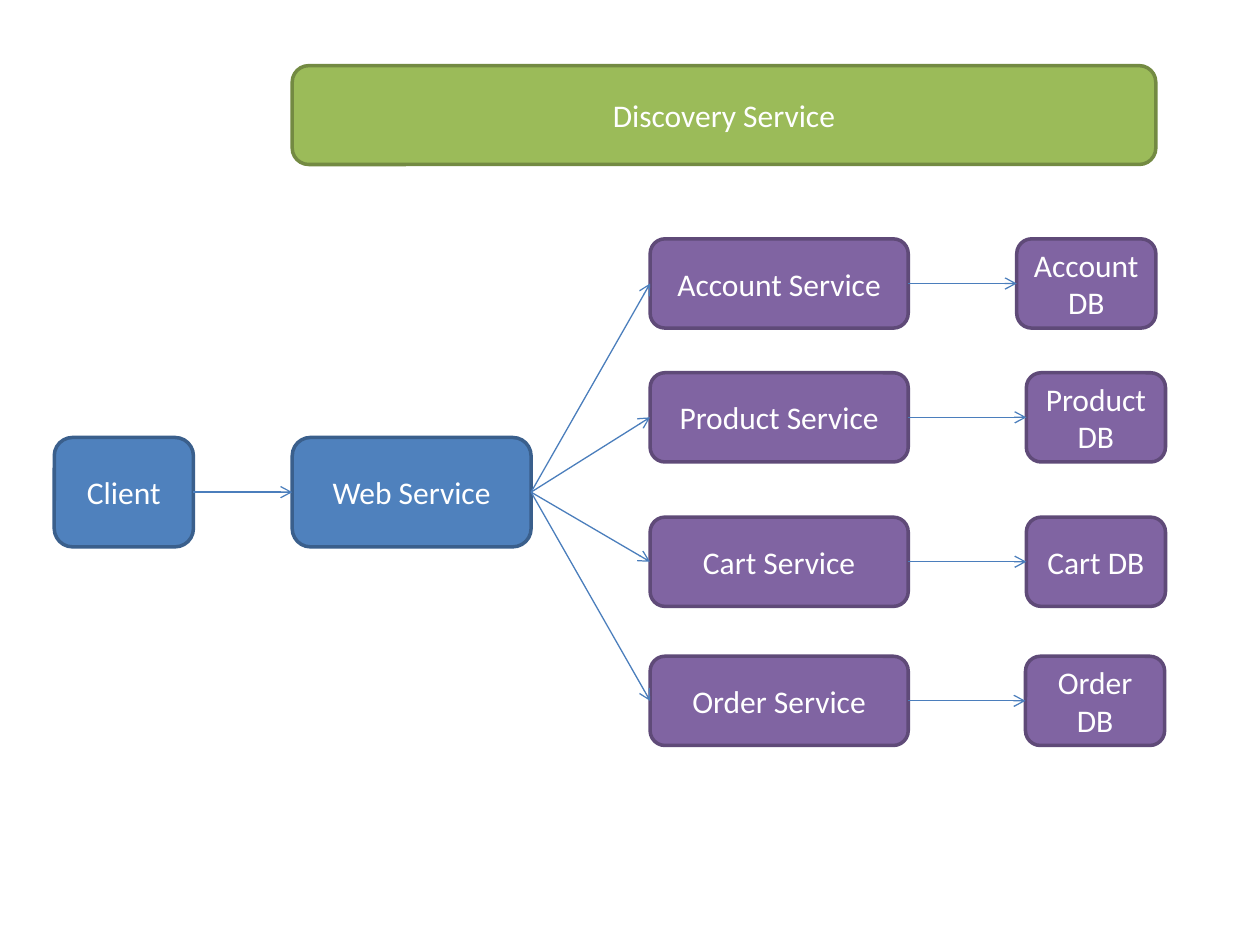
from lxml import etree
from pptx import Presentation
from pptx.dml.color import RGBColor
from pptx.enum.shapes import MSO_CONNECTOR, MSO_SHAPE
from pptx.enum.text import MSO_ANCHOR, PP_ALIGN
from pptx.oxml.ns import qn
from pptx.util import Pt

ROUNDED = MSO_SHAPE.ROUNDED_RECTANGLE
STRAIGHT = MSO_CONNECTOR.STRAIGHT
MIDDLE = MSO_ANCHOR.MIDDLE
CENTER = PP_ALIGN.CENTER
LEFT_SITE, RIGHT_SITE = 1, 3

COLORS = {
    "blue": "4F81BD", "blue_line": "3A5F8C",
    "purple": "8064A2", "purple_line": "5F4A78",
    "green": "9BBB59", "green_line": "738A42",
    "arrow": "4B7EBC", "text": "FFFFFF",
}

presentation = Presentation()
presentation.slide_width = Pt(720)
presentation.slide_height = Pt(540)
slide = presentation.slides.add_slide(presentation.slide_layouts[6])


def add_box(text, color, left, top, width, height):
    shape = slide.shapes.add_shape(ROUNDED, Pt(left), Pt(top), Pt(width), Pt(height))
    shape.shadow.inherit = False
    shape.fill.solid()
    shape.fill.fore_color.rgb = RGBColor.from_string(COLORS[color])
    shape.line.color.rgb = RGBColor.from_string(COLORS[color + "_line"])
    shape.line.width = Pt(2)
    shape.text_frame.vertical_anchor = MIDDLE
    paragraph = shape.text_frame.paragraphs[0]
    paragraph.text = text
    paragraph.alignment = CENTER
    paragraph.font.name = "Calibri"
    paragraph.font.size = Pt(18)
    paragraph.font.color.rgb = RGBColor.from_string(COLORS["text"])
    return shape


def add_arrow(source, target):
    connector = slide.shapes.add_connector(STRAIGHT, 0, 0, 0, 0)
    connector.begin_connect(source, RIGHT_SITE)
    connector.end_connect(target, LEFT_SITE)
    connector.line.color.rgb = RGBColor.from_string(COLORS["arrow"])
    connector.line.width = Pt(0.75)
    etree.SubElement(connector.line._get_or_add_ln(), qn("a:tailEnd"), type="arrow")
    etree.SubElement(connector._element.spPr, qn("a:effectLst"))


# Client and web tier
client = add_box("Client", "blue", 31, 250, 79.5, 62.5)
web_service = add_box("Web Service", "blue", 167, 250, 136.5, 62.5)
add_arrow(client, web_service)

# Each service with its database: name, top, database left
services = [
    ("Account", 136.5, 581),
    ("Product", 213, 586.5),
    ("Cart", 295.5, 586.5),
    ("Order", 375, 586),
]
for name, top, database_left in services:
    service = add_box(f"{name} Service", "purple", 371.5, top, 147.5, 51)
    database = add_box(f"{name} DB", "purple", database_left, top, 79.5, 51)
    add_arrow(web_service, service)
    add_arrow(service, database)

# Discovery bar across the top
add_box("Discovery Service", "green", 167, 37.5, 493.5, 56.5)

presentation.save("out.pptx")
